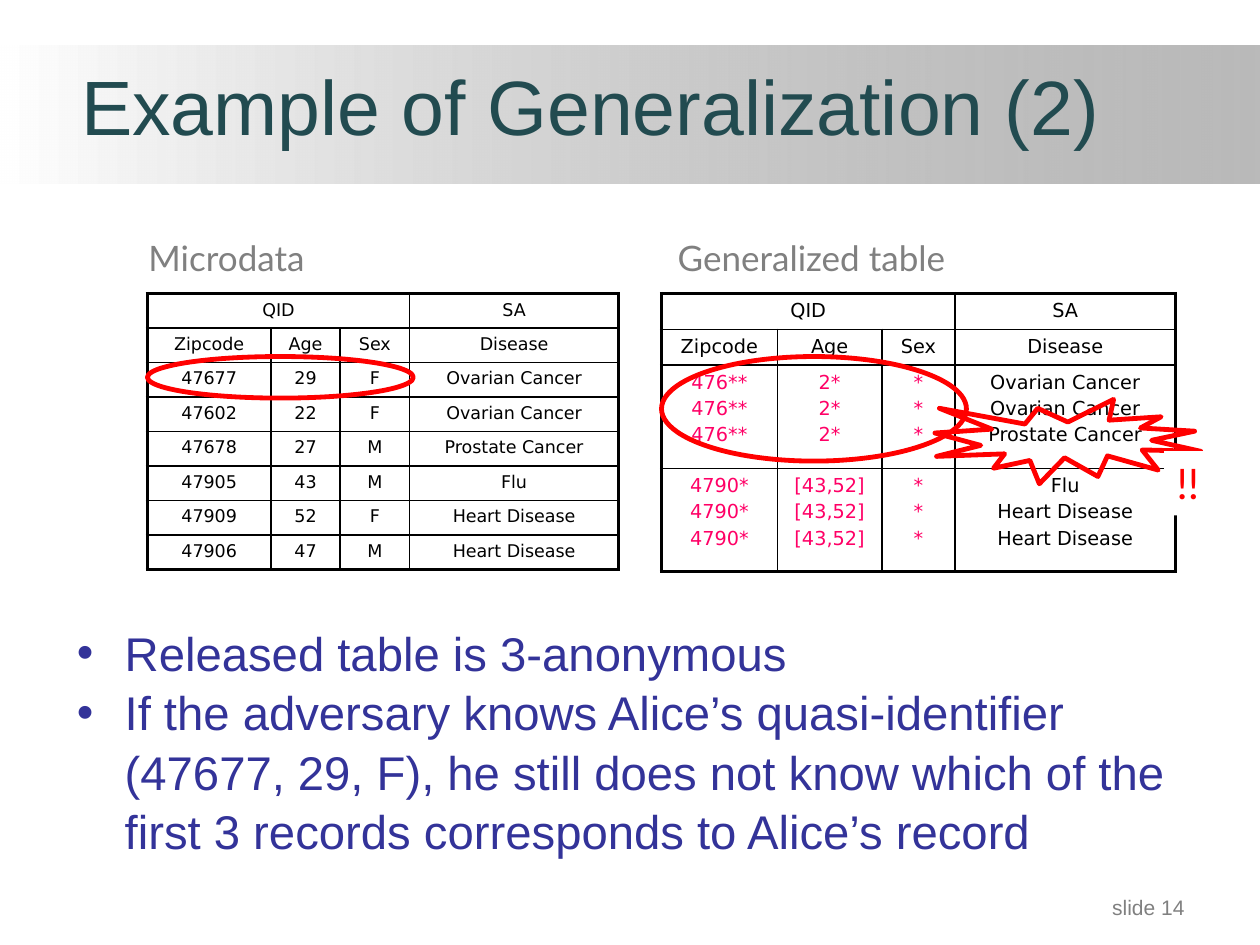
from dataclasses import dataclass
from lxml.etree import SubElement as Sub
from pptx import Presentation
from pptx.dml.color import RGBColor as RGB
from pptx.enum.shapes import MSO_SHAPE as Kind
from pptx.enum.text import MSO_ANCHOR as Anchor, PP_ALIGN as Align
from pptx.oxml import parse_xml
from pptx.oxml.ns import nsdecls, qn
from pptx.util import Inches, Pt


@dataclass(frozen=True)
class Theme:
    """Colours, fonts and type sizes of the slide."""
    title: str = "224B50"
    body: str = "333399"
    grey: str = "808080"
    mark: str = "FF0000"
    hide: str = "FF0066"
    ink: str = "000000"
    paper: str = "FFFFFF"
    sans: str = "Arial"
    label: str = "Lato"
    grid: str = "DejaVu Sans"
    big: int = 44
    text: int = 27
    alarm: int = 24
    head: int = 20
    foot: int = 12
    thin: float = 1
    thick: float = 2.25
    ring: float = 2.75


T = Theme()


def rgb(code):
    """Turn a hex code into a colour."""
    return RGB.from_string(code)


def write(frame, lines, face, size, color, align=Align.LEFT, gap=0):
    """Fill a text frame with one paragraph per line."""
    for i, line in enumerate(lines):
        para = frame.paragraphs[0] if i == 0 else frame.add_paragraph()
        para.text = line
        para.alignment = align
        para.space_before = Pt(gap if i else 0)
        font = para.font
        font.name, font.size, font.color.rgb = face, Pt(size), rgb(color)


def label(slide, box, line, face, size, color, align=Align.LEFT, anchor=Anchor.TOP):
    """Place one line of text in a box."""
    frame = slide.shapes.add_textbox(*map(Inches, box)).text_frame
    frame.word_wrap = True
    frame.vertical_anchor = anchor
    write(frame, [line], face, size, color, align)


def shape(slide, kind, box):
    """Add a preset shape without shadow, fill or line."""
    item = slide.shapes.add_shape(kind, *map(Inches, box))
    item.shadow.inherit = False
    item.fill.background()
    item.line.fill.background()
    return item


def band(slide, box):
    """Draw the fading band behind the title."""
    fill = shape(slide, Kind.RECTANGLE, box).fill
    fill.gradient()
    fill.gradient_angle = 0
    for stop, color, pos in zip(fill.gradient_stops, (T.paper, T.grey), (0, 1)):
        stop.color.rgb = rgb(color)
        stop.position = pos
    tone = list(fill._fill._gradFill.iter(qn("a:srgbClr")))[-1]
    Sub(tone, qn("a:alpha")).set("val", "54000")


def outline(slide, kind, box):
    """Circle a spot with a red outline."""
    line = shape(slide, kind, box).line
    line.color.rgb = rgb(T.mark)
    line.width = Pt(T.ring)


def alarm(slide, box):
    """Place the red exclamation marks on white."""
    item = shape(slide, Kind.RECTANGLE, box)
    item.fill.solid()
    item.fill.fore_color.rgb = rgb(T.paper)
    frame = item.text_frame
    frame.word_wrap = False
    frame.vertical_anchor = Anchor.TOP
    write(frame, ["!!"], T.label, T.alarm, T.mark)


def border(cell, sides):
    """Rule the left, right, top and bottom edge of a cell."""
    props = cell._tc.get_or_add_tcPr()
    for i, (side, outer) in enumerate(zip("LRTB", sides)):
        width = Pt(T.thick if outer else T.thin)
        props.insert(i, parse_xml(
            f'<a:ln{side} {nsdecls("a")} w="{width}"><a:solidFill>'
            f'<a:srgbClr val="{T.ink}"/></a:solidFill></a:ln{side}>'))


def grid(slide, left, top, cols, rows, data, size, tint):
    """Build a ruled table under the QID and SA heads."""
    data = [["QID", "", "", "SA"], ["Zipcode", "Age", "Sex", "Disease"], *data]
    box = map(Inches, (left, top, sum(cols), sum(rows)))
    table = slide.shapes.add_table(len(rows), len(cols), *box).table
    table.first_row = table.horz_banding = False
    for col, width in zip(table.columns, cols):
        col.width = Inches(width)
    for row, height in zip(table.rows, rows):
        row.height = Inches(height)
    table.cell(0, 0).merge(table.cell(0, 2))
    for r, row in enumerate(data):
        for c, text in enumerate(row):
            cell = table.cell(r, c)
            cell.fill.background()
            border(cell, (c == 0, c == len(cols) - 1, r == 0, r == len(rows) - 1))
            color = tint if r > 1 and c < 3 else T.ink
            write(cell.text_frame, text.split("\n"), T.grid, size, color,
                  Align.CENTER, size / 5)


def points(slide, box, lines):
    """Write the bulleted points."""
    frame = slide.shapes.add_textbox(*map(Inches, box)).text_frame
    frame.word_wrap = True
    frame.margin_left = Inches(0.17)
    write(frame, lines, T.sans, T.text, T.body)
    for para in frame.paragraphs:
        para.line_spacing = 1.05
        props = para._p.get_or_add_pPr()
        props.set("marL", str(Inches(0.38)))
        props.set("indent", str(-Inches(0.38)))
        Sub(props, qn("a:buFont")).set("typeface", T.sans)
        Sub(props, qn("a:buChar")).set("char", "•")
        props.append(props.find(qn("a:defRPr")))


def micro(slide, left, top):
    """Show the source records and ring the first one."""
    data = [
        ["47677", "29", "F", "Ovarian Cancer"],
        ["47602", "22", "F", "Ovarian Cancer"],
        ["47678", "27", "M", "Prostate Cancer"],
        ["47905", "43", "M", "Flu"],
        ["47909", "52", "F", "Heart Disease"],
        ["47906", "47", "M", "Heart Disease"],
    ]
    grid(slide, left, top, [0.98, 0.55, 0.55, 1.66], [2.19 / 8] * 8, data, 10, T.ink)
    label(slide, (left - 0.09, top - 0.5, 2.83, 0.42), "Microdata",
          T.label, T.head, T.grey)
    outline(slide, Kind.OVAL, (left, top + 0.5, 2.11, 0.33))


def general(slide, left, top):
    """Show the generalized records and ring the first group."""
    groups = [
        ("476**", "2*", "Ovarian Cancer\nOvarian Cancer\nProstate Cancer"),
        ("4790*", "[43,52]", "Flu\nHeart Disease\nHeart Disease"),
    ]
    data = [["\n".join([v] * 3) for v in (zone, age, "*")] + [ill]
            for zone, age, ill in groups]
    grid(slide, left, top, [0.92, 0.83, 0.58, 1.75], [0.28, 0.28, 0.82, 0.82],
         data, 11, T.hide)
    label(slide, (left + 0.03, top - 0.5, 3.5, 0.42), "Generalized table",
          T.label, T.head, T.grey)
    outline(slide, Kind.OVAL, (left, top + 0.5, 2.42, 0.83))
    outline(slide, Kind.EXPLOSION1, (left + 2.17, top + 0.84, 2.11, 0.67))
    alarm(slide, (left + 3.99, top + 1.25, 0.43, 0.51))


def main():
    """Build and save the slide."""
    deck = Presentation()
    deck.slide_width, deck.slide_height = Inches(10), Inches(7.5)
    slide = deck.slides.add_slide(deck.slide_layouts[6])
    band(slide, (0, 0.36, 10, 1.1))
    label(slide, (0.44, 0.25, 8.5, 1), "Example of Generalization (2)",
          T.sans, T.big, T.title, Align.CENTER, Anchor.BOTTOM)
    micro(slide, 1.17, 2.33)
    general(slide, 5.25, 2.33)
    points(slide, (0.44, 4.88, 8.94, 2.21), [
        "Released table is 3-anonymous",
        "If the adversary knows Alice’s quasi-identifier (47677, 29, F), he still "
        "does not know which of the first 3 records corresponds to Alice’s record",
    ])
    label(slide, (7.17, 6.83, 2.33, 0.52), "slide 14",
          T.sans, T.foot, T.grey, Align.RIGHT, Anchor.BOTTOM)
    deck.save("out.pptx")


main()
